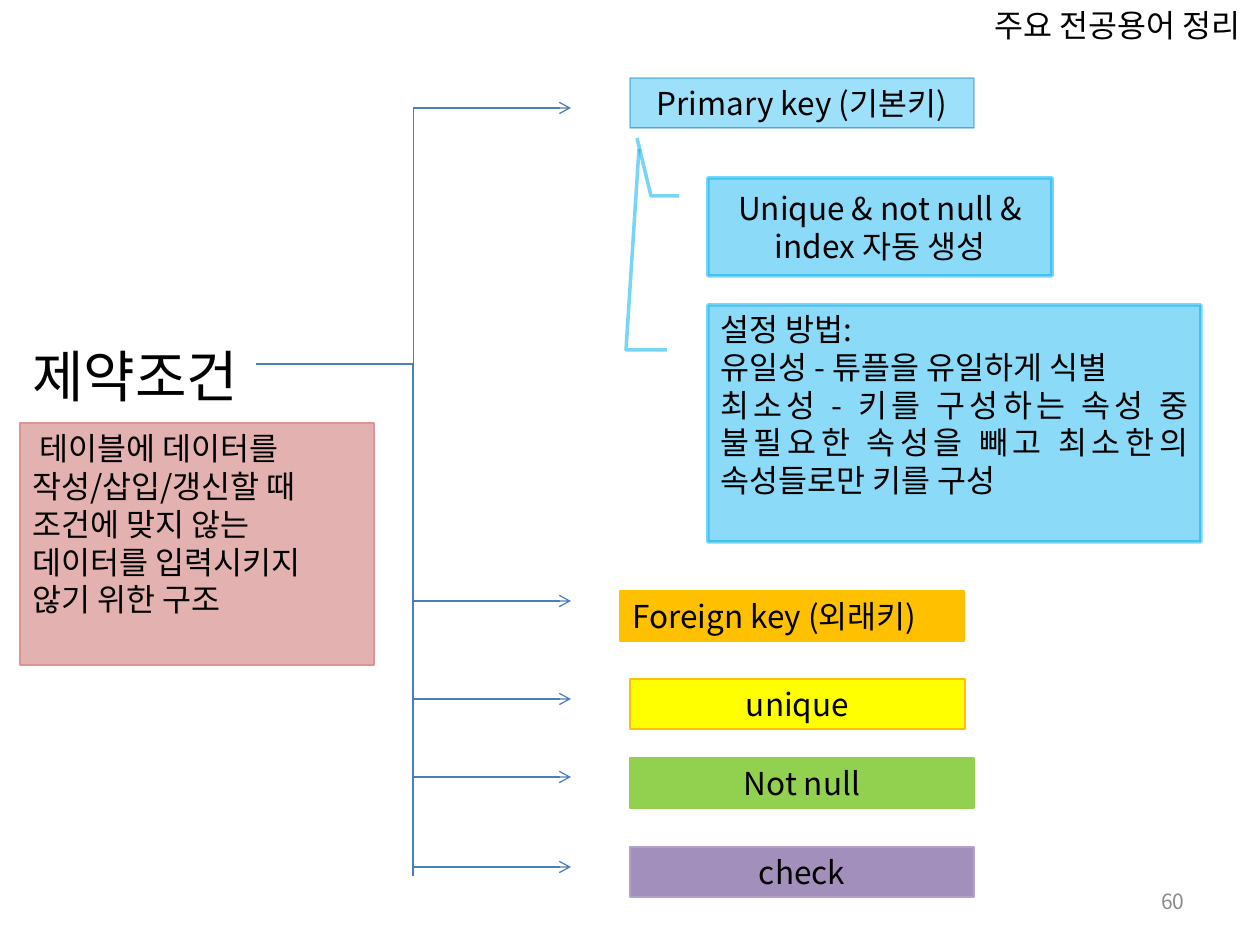
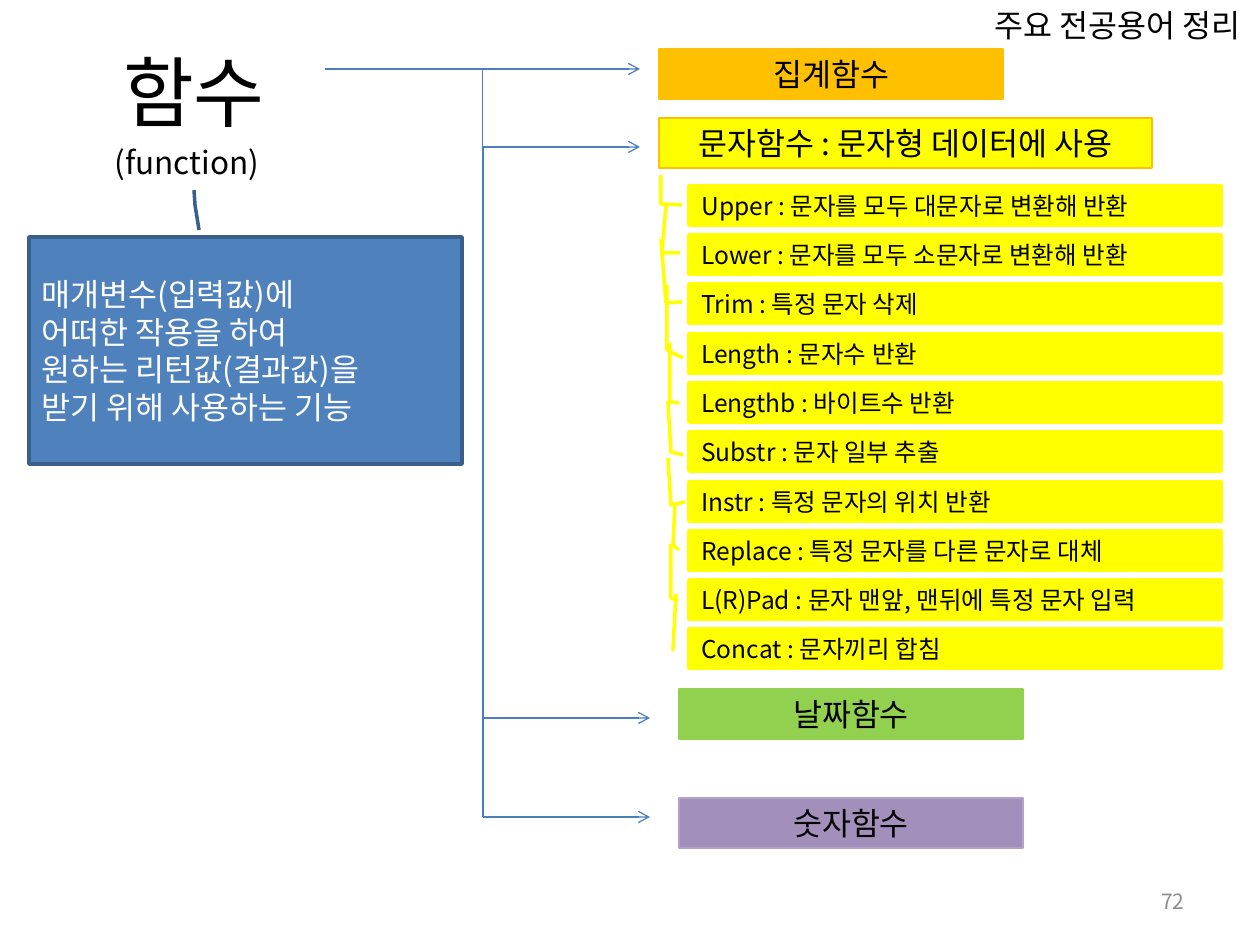
from lxml.etree import SubElement
from pptx import Presentation
from pptx.dml.color import RGBColor
from pptx.enum.shapes import MSO_CONNECTOR, MSO_SHAPE
from pptx.enum.text import MSO_ANCHOR, PP_ALIGN
from pptx.oxml.ns import qn
from pptx.util import Emu, Pt

PX = 914400 / 126
FONT = "Noto Sans CJK KR"
BLACK, WHITE, GRAY, WIRE = "000000", "FFFFFF", "8C8C8C", "4B7EBC"
ORANGE, YELLOW, GREEN = "FFC000", "FFFF00", "92D050"
PURPLE, LILAC = ("8064A2", 72), "B3A2C7"
SKY, RIM = ("00B0F0", 46), ("00B0F0", 53)
LEFT, MID, RIGHT, JUST = (
    PP_ALIGN.LEFT, PP_ALIGN.CENTER, PP_ALIGN.RIGHT, PP_ALIGN.JUSTIFY)
HEADER = "주요 전공용어 정리"
BAR_H = 50

# Bars: text, left, top, width, fill, line, alignment
KEYS = [
    ("Primary key (기본키)", 630, 78, 344, ("00B0F0", 39), ("0070C0", 49), MID),
    ("Foreign key (외래키)", 620, 591, 344, ORANGE, ORANGE, LEFT),
    ("unique", 630, 679, 335, YELLOW, ORANGE, MID),
    ("Not null", 630, 758, 344, GREEN, GREEN, MID),
    ("check", 630, 847, 344, PURPLE, LILAC, MID),
]
GROUPS = [
    ("집계함수", 659, 49, 344, ORANGE, ORANGE, MID),
    ("문자함수 : 문자형 데이터에 사용", 659, 118, 493, YELLOW, ORANGE, MID),
    ("날짜함수", 679, 689, 344, GREEN, GREEN, MID),
    ("숫자함수", 679, 798, 344, PURPLE, LILAC, MID),
]
RULE = [
    " 테이블에 데이터를",
    "작성/삽입/갱신할 때 조건에 맞지 않는",
    "데이터를 입력시키지 않기 위한 구조",
]
AUTO = ["Unique & not null & index 자동 생성"]
SETUP = [
    "설정 방법:",
    "유일성 - 튜플을 유일하게 식별",
    "최소성 - 키를 구성하는 속성 중 불필요한 속성을 빼고 최소한의 속성들로만 키를 구성",
]
USAGE = [
    "매개변수(입력값)에",
    "어떠한 작용을 하여",
    "원하는 리턴값(결과값)을",
    "받기 위해 사용하는 기능",
]
# Leader points are offsets from the top left corner of their box
STRINGS = [
    ("Upper : 문자를 모두 대문자로 변환해 반환", [(-7, 19), (-28, 18), (-28, -11)]),
    ("Lower : 문자를 모두 소문자로 변환해 반환", [(-9, 18), (-27, 18), (-23, -30)]),
    ("Trim : 특정 문자 삭제", [(-7, 18), (-23, 19), (-28, -45)]),
    ("Length : 문자수 반환", [(-6, 24), (-22, 16), (-22, -49)]),
    ("Lengthb : 바이트수 반환", [(-10, 20), (-19, 19), (-19, -40)]),
    ("Substr : 문자 일부 추출", [(-6, 23), (-18, 20), (-21, -31)]),
    ("Instr : 특정 문자의 위치 반환", [(-4, 20), (-18, 23), (-21, -24)]),
    ("Replace : 특정 문자를 다른 문자로 대체", [(-10, 19), (-16, 14), (-14, -25)]),
    ("L(R)Pad : 문자 맨앞, 맨뒤에 특정 문자 입력", [(-11, 21), (-18, 18), (-18, -36)]),
    ("Concat : 문자끼리 합침", [(-16, 20), (-16, 21), (-13, -35)]),
]
ROW_TOP, ROW_STEP = 186, 49.25


def px(*nums):
    return [Emu(round(n * PX)) for n in nums]


def rgb(code):
    return RGBColor.from_string(code)


def paint(fill, tone):
    """Fill with a hex colour, or with a (hex, opacity percent) pair."""
    code, alpha = (tone, None) if isinstance(tone, str) else tone
    fill.solid()
    fill.fore_color.rgb = rgb(code)
    if alpha:
        node = fill._xPr.find(".//" + qn("a:srgbClr"))
        SubElement(node, qn("a:alpha"), val=str(alpha * 1000))


def write(shape, lines, size=18, align=MID, color=BLACK, anchor=MSO_ANCHOR.TOP):
    frame = shape.text_frame
    frame.word_wrap = True
    frame.vertical_anchor = anchor
    frame.text = "\n".join(lines)
    for para in frame.paragraphs:
        para.alignment = align
        font = para.font
        font.size, font.name = Pt(size), FONT
        font.color.rgb = rgb(color)
        latin = para._p.pPr.find(".//" + qn("a:latin"))
        latin.addnext(latin.makeelement(qn("a:ea"), {"typeface": FONT}))


def label(slide, text, box, **style):
    write(slide.shapes.add_textbox(*px(*box)), [text], **style)


def block(slide, kind, box, fill, line, width):
    shape = slide.shapes.add_shape(kind, *px(*box))
    shape.shadow.inherit = False
    paint(shape.fill, fill)
    paint(shape.line.fill, line)
    shape.line.width = Pt(width)
    return shape


def bar(slide, text, left, top, width, fill, line, align):
    box = left, top, width, BAR_H
    write(block(slide, MSO_SHAPE.RECTANGLE, box, fill, line, 0.75), [text], align=align)


def callout(slide, lines, box, leader, fill, line, **style):
    shape = block(slide, MSO_SHAPE.LINE_CALLOUT_2, box, fill, line, 2)
    for i, (x, y) in enumerate(leader):
        shape.adjustments[2 * i] = y / box[3]
        shape.adjustments[2 * i + 1] = x / box[2]
    write(shape, lines, anchor=MSO_ANCHOR.MIDDLE, **style)
    return shape


def wire(slide, start, end, kind=MSO_CONNECTOR.STRAIGHT, arrow=True):
    link = slide.shapes.add_connector(kind, *px(*start, *end))
    paint(link.line.fill, WIRE)
    link.line.width = Pt(0.75)
    if arrow:
        SubElement(link.line._get_or_add_ln(), qn("a:tailEnd"), type="arrow")
    SubElement(link._element.spPr, qn("a:effectLst"))


def page(deck, number):
    slide = deck.slides.add_slide(deck.slide_layouts[6])
    label(slide, HEADER, (955, 0, 325, 50))
    label(slide, number, (903, 876, 294, 50), size=12, align=RIGHT,
          color=GRAY, anchor=MSO_ANCHOR.MIDDLE)
    return slide


def limits(deck):
    """Slide on table constraints."""
    slide = page(deck, "60")
    label(slide, "제약조건", (20, 335, 276, 81), size=32, align=LEFT)
    wire(slide, (256, 364), (571, 108), MSO_CONNECTOR.ELBOW)
    trunk = 413
    for top, end in [(364, 777), (777, 876)]:
        wire(slide, (trunk, top), (trunk, end), arrow=False)
    for y in (601, 699, 777, 867):
        wire(slide, (trunk, y), (571, y))
    for key in KEYS:
        bar(slide, *key)
    callout(slide, AUTO, (708, 178, 344, 98),
            [(-29, 18), (-57, 18), (-71, -40)], SKY, RIM)
    setup = callout(slide, SETUP, (708, 305, 493, 237),
                    [(-41, 45), (-82, 45), (-69, -156)], SKY, RIM, align=JUST)
    setup.text_frame.margin_bottom = px(44)[0]
    rule = block(slide, MSO_SHAPE.RECTANGLE, (20, 423, 354, 242),
                 ("C0504D", 44), "D99694", 0.75)
    write(rule, RULE, align=LEFT)


def functions(deck):
    """Slide on kinds of function."""
    slide = page(deck, "72")
    label(slide, "함수", (63, 38, 262, 110), size=44)
    label(slide, "(function)", (98, 137, 178, 50))
    callout(slide, USAGE, (29, 237, 433, 227), [(170, -7), (166, -32), (165, -47)],
            "4F81BD", "3A5F8C", align=JUST, color=WHITE)
    trunk = 483
    wire(slide, (325, 69), (640, 147), MSO_CONNECTOR.ELBOW)
    wire(slide, (472, 69), (640, 69))
    wire(slide, (trunk, 147), (trunk, 817), arrow=False)
    for y in (718, 817):
        wire(slide, (trunk, y), (650, y))
    for group in GROUPS:
        bar(slide, *group)
    for i, (text, leader) in enumerate(STRINGS):
        box = 689, ROW_TOP + round(i * ROW_STEP), 532, 39
        callout(slide, [text], box, leader, YELLOW, YELLOW, size=14, align=JUST)


def main():
    deck = Presentation()
    deck.slide_width, deck.slide_height = px(1260, 945)
    limits(deck)
    functions(deck)
    deck.save("out.pptx")


if __name__ == "__main__":
    main()
